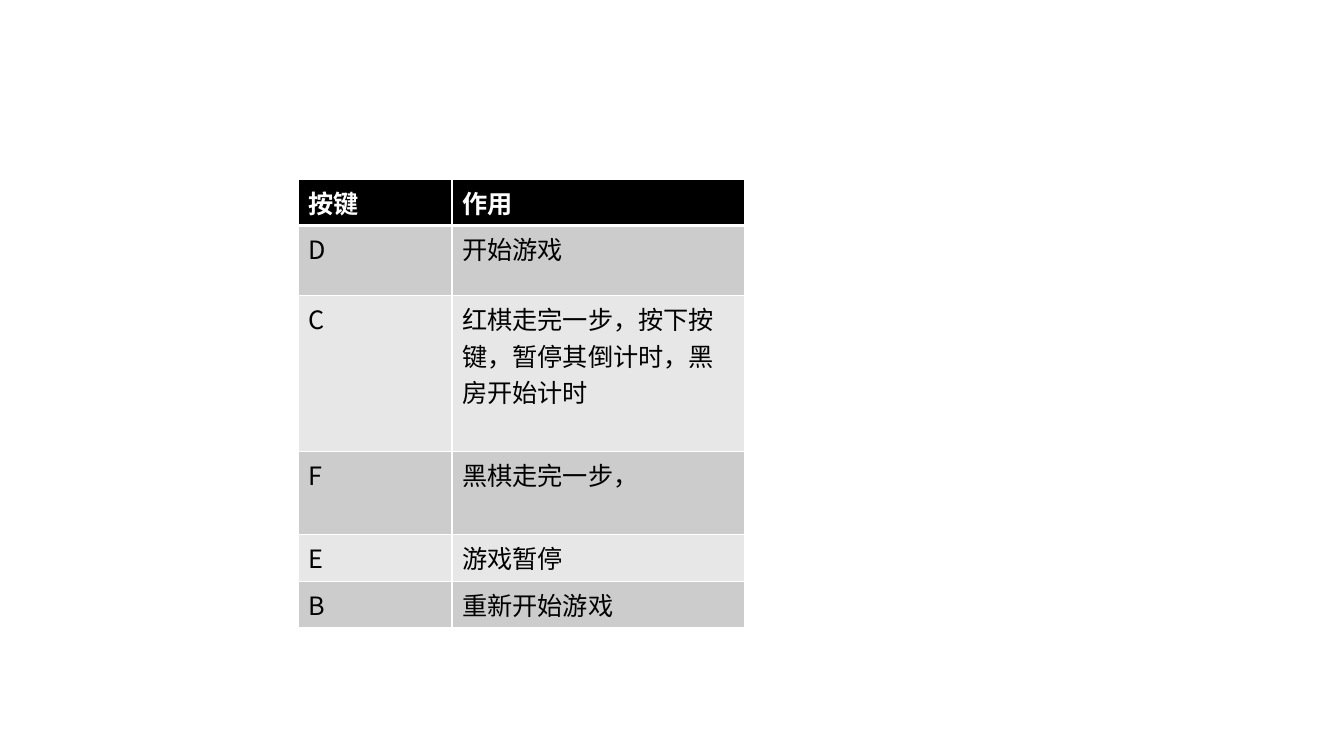
from lxml import etree
from pptx import Presentation
from pptx.dml.color import RGBColor
from pptx.oxml.ns import qn
from pptx.util import Pt

EMU_PER_PIXEL = 914400 / 100.8
FONT = "Noto Sans CJK SC"
BLACK, WHITE = "000000", "FFFFFF"
BANDS = ("CCCCCC", "E7E7E7")
KEY_ACTIONS = [
    ("按键", "作用"),
    ("D", "开始游戏"),
    ("C", "红棋走完一步，按下按键，暂停其倒计时，黑房开始计时"),
    ("F", "黑棋走完一步，"),
    ("E", "游戏暂停"),
    ("B", "重新开始游戏"),
]
COLUMN_WIDTHS = (154, 293)
ROW_HEIGHTS = (45, 70, 156, 83, 46, 47)


def px(pixels):
    """Turn pixels into EMU."""
    return round(pixels * EMU_PER_PIXEL)


def color(hex_string):
    """Turn a hex string into a colour."""
    return RGBColor.from_string(hex_string)


def write(frame, text, size=18, fill=BLACK, bold=False):
    """Put formatted text into a text frame."""
    run = frame.paragraphs[0].add_run()
    run.text = text
    run.font.size = Pt(size)
    run.font.bold = bold
    run.font.color.rgb = color(fill)
    run.font.name = FONT
    east_asian = etree.SubElement(run.font._element, qn("a:ea"))
    east_asian.set("typeface", FONT)


def set_borders(cell, **widths):
    """Draw white borders; widths in points are keyed by side L, R, T, B."""
    properties = cell._tc.get_or_add_tcPr()
    for side, width in widths.items():
        line = etree.SubElement(properties, qn(f"a:ln{side}"), w=str(Pt(width)))
        solid = etree.SubElement(line, qn("a:solidFill"))
        etree.SubElement(solid, qn("a:srgbClr"), val=WHITE)


def add_key_table(slide, left, top):
    """Place the table of keys and their actions."""
    table = slide.shapes.add_table(
        len(KEY_ACTIONS), len(COLUMN_WIDTHS), px(left), px(top),
        px(sum(COLUMN_WIDTHS)), px(sum(ROW_HEIGHTS))).table
    for column, width in zip(table.columns, COLUMN_WIDTHS):
        column.width = px(width)
    for row_index, (row, height) in enumerate(zip(table.rows, ROW_HEIGHTS)):
        row.height = px(height)
        header = row_index == 0
        band = BLACK if header else BANDS[(row_index - 1) % 2]
        for cell, text in zip(row.cells, KEY_ACTIONS[row_index]):
            set_borders(cell, L=1, R=1, T=3 if row_index == 1 else 1,
                        B=3 if header else 1)
            cell.fill.solid()
            cell.fill.fore_color.rgb = color(band)
            write(cell.text_frame, text, fill=WHITE if header else BLACK,
                  bold=header)


def main():
    """Build and save the slide."""
    deck = Presentation()
    deck.slide_width, deck.slide_height = px(1344), px(756)
    slide = deck.slides.add_slide(deck.slide_layouts[6])
    add_key_table(slide, left=298, top=179)
    deck.save("out.pptx")


main()
